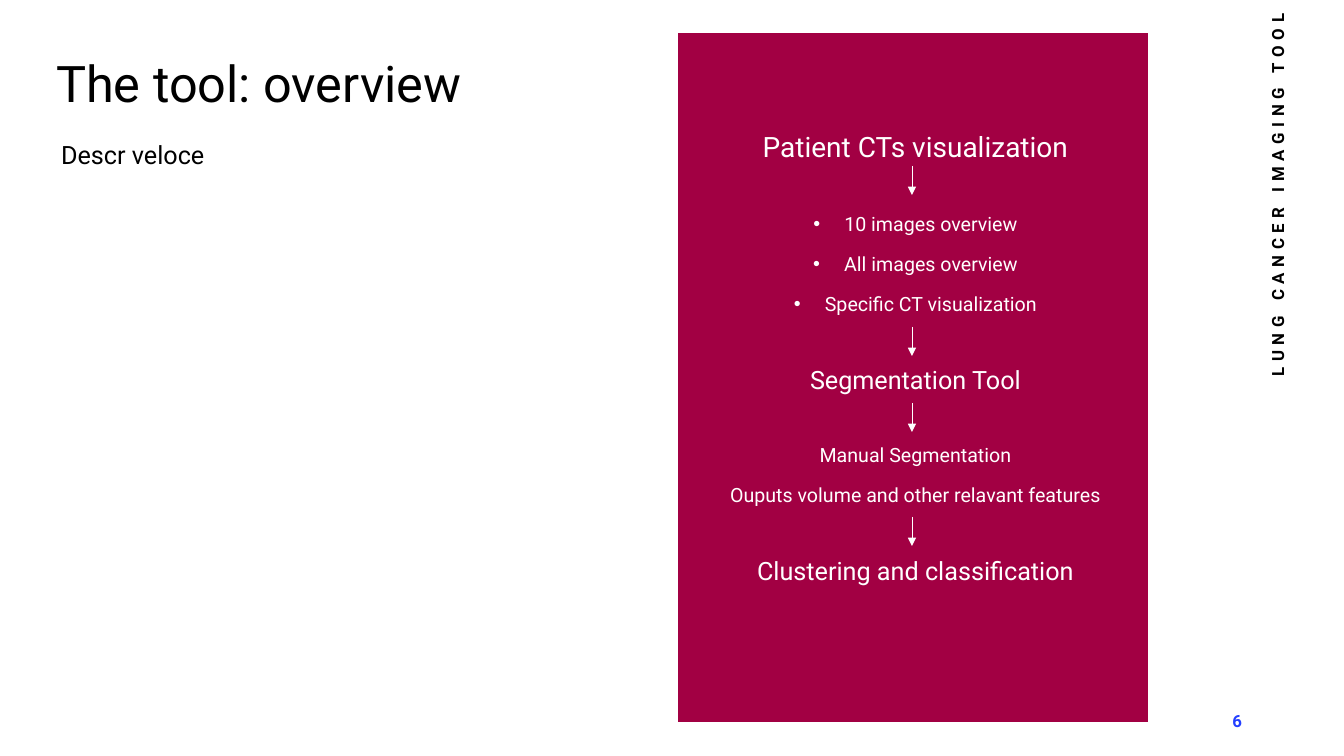
import pptx
import pptx.util
import pptx.dml.color
import pptx.enum.shapes
import pptx.enum.text
import pptx.oxml.ns
from lxml import etree

TITLE = "The tool: overview"
DESCRIPTION = "Descr veloce"
SIDE_LABEL = "LUNG CANCER IMAGING TOOL"
PAGE_NUMBER = "6"
# text, size in points, bulleted, follows an arrow
STEPS = [
    ("Patient CTs visualization", 20, False, False),
    ("10 images overview", 14, True, True),
    ("All images overview", 14, True, False),
    ("Specific CT visualization", 14, True, False),
    ("Segmentation Tool", 18, False, True),
    ("Manual Segmentation", 14, False, True),
    ("Ouputs volume and other relavant features", 14, False, False),
    ("Clustering and classification", 18, False, True),
]
COLORS = {"black": "000000", "white": "FFFFFF", "panel": "A20043", "number": "243FFF"}
FONT = "Roboto"

# Lengths in px
SLIDE_SIZE = (1344, 756)
TITLE_BOX = (46, -12, 518, 130)
DESCRIPTION_BOX = (51, 131, 518, 570)
PANEL_BOX = (677, 32, 472, 691)
STEPS_BOX = (682, 32, 467, 691)
STEPS_BOTTOM_MARGIN = 137
SIDE_LABEL_BOX = (1082, 175, 391, 40)
NUMBER_BOX = (950, 701, 302, 40)
BULLET_INDENT = 31
ARROW_X, ARROW_LENGTH = 912, 29
ARROW_TOPS = (166, 327, 403, 517)
# Paragraph spacing in points
LINE_SPACING, SPACE_BEFORE, ARROW_GAP = 1.1, 10, 33

ALIGN = pptx.enum.text.PP_ALIGN
ANCHOR = pptx.enum.text.MSO_ANCHOR


def px(length):
    return pptx.util.Emu(round(length * 914400 / 100.8))


def color(name):
    return pptx.dml.color.RGBColor.from_string(COLORS[name])


def place(shape, box):
    shape.left, shape.top, shape.width, shape.height = map(px, box)


def set_frame(shape, box, anchor):
    place(shape, box)
    frame = shape.text_frame
    frame.word_wrap = True
    frame.auto_size = pptx.enum.text.MSO_AUTO_SIZE.NONE
    frame.vertical_anchor = anchor
    return frame


def write(paragraph, text, size, color_name="black", bold=False, align=ALIGN.LEFT,
          line_spacing=LINE_SPACING, before=0, bullet=False, tracking=0):
    properties = paragraph._p.get_or_add_pPr()
    indent = px(BULLET_INDENT) if bullet else 0
    properties.set("marL", str(indent))
    properties.set("indent", str(-indent))
    paragraph.line_spacing = line_spacing
    paragraph.space_before = pptx.util.Pt(before)
    paragraph.space_after = pptx.util.Pt(0)
    paragraph.alignment = align
    if bullet:
        etree.SubElement(properties, pptx.oxml.ns.qn("a:buFont"), typeface="Arial")
        etree.SubElement(properties, pptx.oxml.ns.qn("a:buChar"), char="•")
    else:
        etree.SubElement(properties, pptx.oxml.ns.qn("a:buNone"))
    run = paragraph.add_run()
    run.text = text
    run.font.name = FONT
    run.font.size = pptx.util.Pt(size)
    run.font.bold = bold
    run.font.color.rgb = color(color_name)
    if tracking:
        run.font._element.set("spc", str(tracking * 100))


def add_panel(slide):
    """Add the coloured panel behind the placeholders."""
    panel = slide.shapes.add_shape(pptx.enum.shapes.MSO_SHAPE.RECTANGLE, 0, 0, 0, 0)
    place(panel, PANEL_BOX)
    panel.shadow.inherit = False
    panel.fill.solid()
    panel.fill.fore_color.rgb = color("panel")
    panel.line.color.rgb = color("white")
    panel.line.width = pptx.util.Pt(1)
    slide.shapes._spTree.insert(2, panel._element)


def add_steps(placeholder):
    frame = set_frame(placeholder, STEPS_BOX, ANCHOR.BOTTOM)
    frame.margin_bottom = px(STEPS_BOTTOM_MARGIN)
    for index, (text, size, bullet, after_arrow) in enumerate(STEPS):
        paragraph = frame.add_paragraph() if index else frame.paragraphs[0]
        before = ARROW_GAP if after_arrow else SPACE_BEFORE if index else 0
        write(paragraph, text, size, color_name="white", align=ALIGN.CENTER,
              before=before, bullet=bullet)


def add_arrow(slide, top):
    arrow = slide.shapes.add_connector(
        pptx.enum.shapes.MSO_CONNECTOR.STRAIGHT,
        px(ARROW_X), px(top), px(ARROW_X), px(top + ARROW_LENGTH))
    arrow.line.color.rgb = color("white")
    arrow.line.width = pptx.util.Pt(0.5)
    etree.SubElement(arrow.line._get_or_add_ln(), pptx.oxml.ns.qn("a:tailEnd"), type="triangle")
    etree.SubElement(arrow._element.spPr, pptx.oxml.ns.qn("a:effectLst"))


def main():
    presentation = pptx.Presentation()
    presentation.slide_width, presentation.slide_height = map(px, SLIDE_SIZE)
    slide = presentation.slides.add_slide(presentation.slide_layouts[3])
    title, description, steps = slide.placeholders

    add_panel(slide)
    frame = set_frame(title, TITLE_BOX, ANCHOR.BOTTOM)
    write(frame.paragraphs[0], TITLE, 36)
    frame = set_frame(description, DESCRIPTION_BOX, ANCHOR.TOP)
    write(frame.paragraphs[0], DESCRIPTION, 18)
    add_steps(steps)
    for top in ARROW_TOPS:
        add_arrow(slide, top)

    side_label = slide.shapes.add_textbox(0, 0, 0, 0)
    frame = set_frame(side_label, SIDE_LABEL_BOX, ANCHOR.MIDDLE)
    side_label.rotation = 270
    write(frame.paragraphs[0], SIDE_LABEL, 12, bold=True, align=ALIGN.CENTER,
          line_spacing=1.0, tracking=4)

    number = slide.shapes.add_textbox(0, 0, 0, 0)
    frame = set_frame(number, NUMBER_BOX, ANCHOR.MIDDLE)
    write(frame.paragraphs[0], PAGE_NUMBER, 12, color_name="number", bold=True,
          align=ALIGN.RIGHT, line_spacing=1.0, tracking=1)

    presentation.save("out.pptx")


if __name__ == "__main__":
    main()
